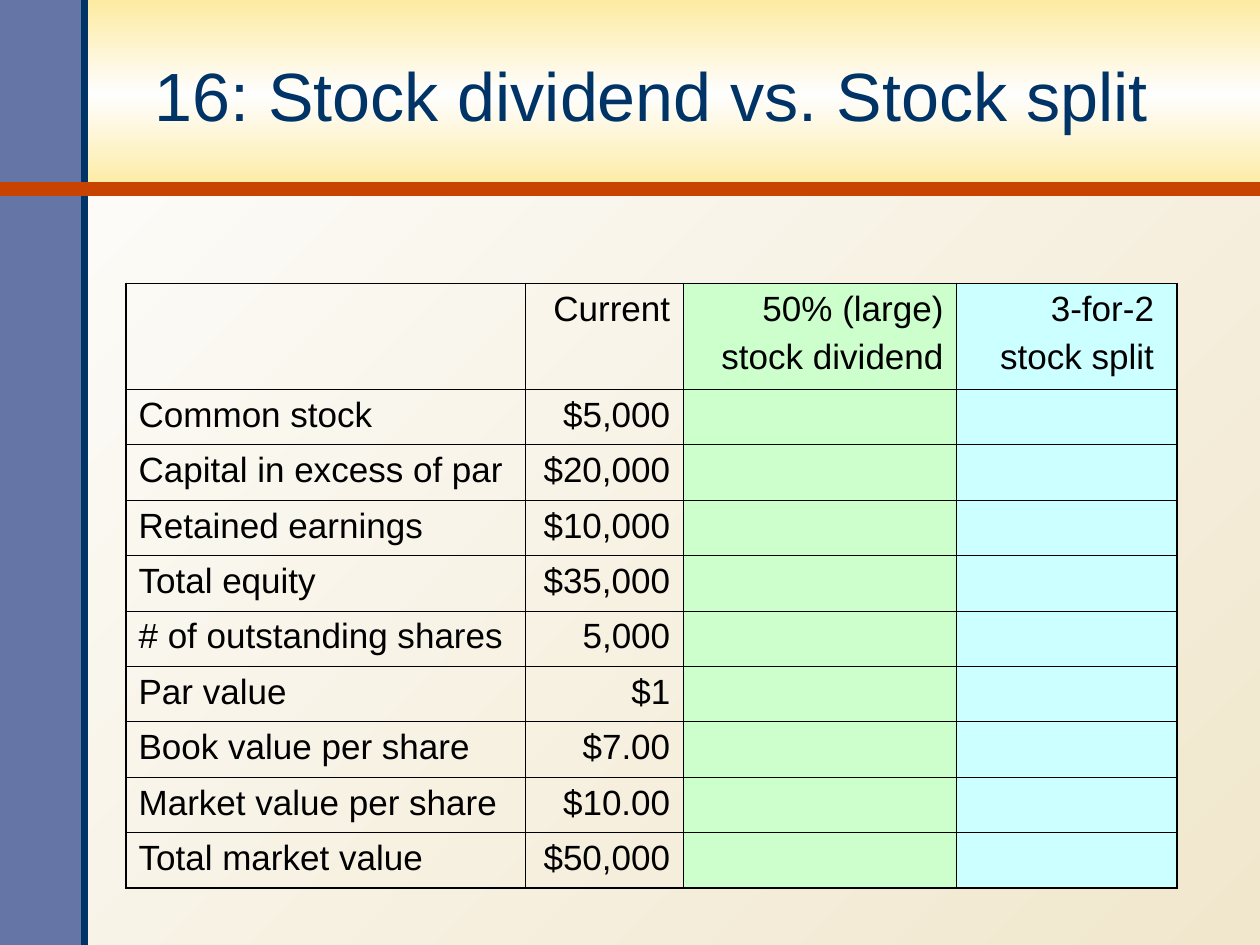
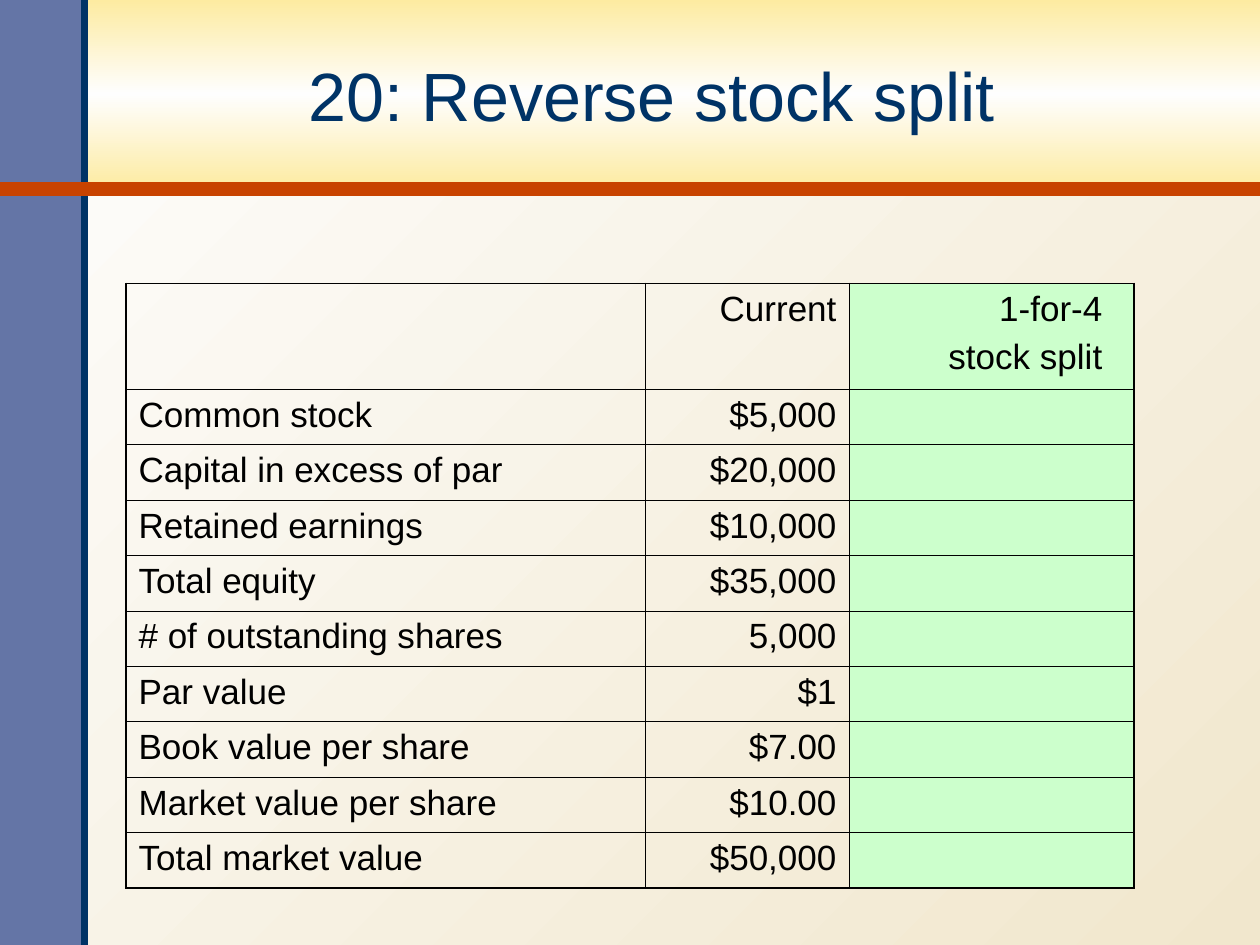
import dataclasses
import typing

import lxml.etree
import pptx
import pptx.dml.color
import pptx.enum.shapes
import pptx.enum.text
import pptx.oxml.ns
import pptx.util

Inches = pptx.util.Inches
Align = pptx.enum.text.PP_ALIGN

# Shared look
FONT = "Arial"
NAVY, RUST, SLATE, BLACK = "003366", "C84300", "6475A6", "000000"
GREEN, AQUA = "CCFFCC", "CCFFFF"
BACKGROUND_STOPS = [(0, "F1E7CD"), (100, "FEFEFE")]
BAND_STOPS = [(0, "FDEBA1"), (50, "FEFEFE"), (100, "FDEBA1")]
WIDTH, HEIGHT = 10, 7.5
SIDE_WIDTH, BAND_HEIGHT = 0.67, 1.5
TABLE_LEFT, TABLE_TOP = 1, 2.25
HEADER_HEIGHT, ROW_HEIGHT = 0.84, 0.44
OUTER_BORDER, INNER_BORDER = 1.08, 0.45
TITLE_FORMAT = {"name": FONT, "size": pptx.util.Pt(39)}
CELL_FORMAT = {"name": FONT, "size": pptx.util.Pt(20)}

# Balance lines and their current values
BALANCES = [
    ("Common stock", "$5,000"),
    ("Capital in excess of par", "$20,000"),
    ("Retained earnings", "$10,000"),
    ("Total equity", "$35,000"),
    ("# of outstanding shares", "5,000"),
    ("Par value", "$1"),
    ("Book value per share", "$7.00"),
    ("Market value per share", "$10.00"),
    ("Total market value", "$50,000"),
]


@dataclasses.dataclass(frozen=True)
class Column:
    width: float
    heading: tuple[str, ...] = ()
    fill: str | None = None
    first_line_indent_right: float = 0
    align: Align = Align.RIGHT


@dataclasses.dataclass(frozen=True)
class Comparison:
    title: str
    columns: tuple[Column, ...]


@dataclasses.dataclass(frozen=True)
class Rule:
    start: tuple[float, float]
    end: tuple[float, float]
    color: str
    weight: float


RULES = [
    Rule((SIDE_WIDTH, HEIGHT), (SIDE_WIDTH, 0), NAVY, 4),
    Rule((0, BAND_HEIGHT), (WIDTH, BAND_HEIGHT), RUST, 8),
]

COMPARISONS = [
    Comparison("16: Stock dividend vs. Stock split", (
        Column(3.17, align=Align.LEFT),
        Column(1.25, ("Current",)),
        Column(2.17, ("50% (large)", "stock dividend"), GREEN),
        Column(1.75, ("3-for-2", "stock split"), AQUA, 0.08),
    )),
    Comparison("20: Reverse stock split", (
        Column(4.12, align=Align.LEFT),
        Column(1.62, ("Current",)),
        Column(2.26, ("1-for-4", "stock split"), GREEN, 0.15),
    )),
]


def rgb(color: str) -> pptx.dml.color.RGBColor:
    return pptx.dml.color.RGBColor.from_string(color)


def set_gradient(fill: typing.Any, element: typing.Any,
                 stops: list[tuple[int, str]], angle: float) -> None:
    """Fill with the stops; the angle runs counter-clockwise."""
    fill.gradient()
    fill.gradient_angle = angle
    stop_list = element.xpath(".//a:gsLst")[0]
    for stop in list(stop_list):
        stop_list.remove(stop)
    for position, color in stops:
        stop = lxml.etree.SubElement(stop_list, pptx.oxml.ns.qn("a:gs"), pos=str(position * 1000))
        lxml.etree.SubElement(stop, pptx.oxml.ns.qn("a:srgbClr"), val=color)


def add_text(paragraph: typing.Any, text: str, values: dict[str, typing.Any],
             color: str, align: Align) -> None:
    paragraph.alignment = align
    run = paragraph.add_run()
    run.text = text
    for name, value in values.items():
        setattr(run.font, name, value)
    run.font.color.rgb = rgb(color)


def add_rectangle(slide: typing.Any, width: float, height: float) -> typing.Any:
    """Place a borderless rectangle in the top left corner."""
    shape = slide.shapes.add_shape(pptx.enum.shapes.MSO_SHAPE.RECTANGLE,
                                   Inches(0), Inches(0), Inches(width), Inches(height))
    shape.shadow.inherit = False
    shape.line.fill.background()
    return shape


def add_rule(slide: typing.Any, rule: Rule) -> None:
    ends = [Inches(length) for length in (*rule.start, *rule.end)]
    connector = slide.shapes.add_connector(pptx.enum.shapes.MSO_CONNECTOR.STRAIGHT, *ends)
    connector.line.color.rgb = rgb(rule.color)
    connector.line.width = pptx.util.Pt(rule.weight)
    lxml.etree.SubElement(connector._element.spPr, pptx.oxml.ns.qn("a:effectLst"))


def add_frame(slide: typing.Any, title: str) -> None:
    """Draw the background, bands, rules and title."""
    set_gradient(slide.background.fill, slide._element, BACKGROUND_STOPS, 135)
    band = add_rectangle(slide, WIDTH, BAND_HEIGHT)
    set_gradient(band.fill, band._element, BAND_STOPS, 270)
    side = add_rectangle(slide, SIDE_WIDTH, HEIGHT)
    side.fill.solid()
    side.fill.fore_color.rgb = rgb(SLATE)
    for rule in RULES:
        add_rule(slide, rule)

    title_box = slide.shapes.add_textbox(Inches(0.65), Inches(0.15), Inches(9.04), Inches(1.2))
    frame = title_box.text_frame
    frame.word_wrap = True
    frame.vertical_anchor = pptx.enum.text.MSO_ANCHOR.MIDDLE
    add_text(frame.paragraphs[0], title, TITLE_FORMAT, NAVY, Align.CENTER)


def set_borders(cell: typing.Any, outer_sides: dict[str, bool]) -> None:
    """Draw the cell's sides, heavier along the table's edge."""
    properties = cell._tc.get_or_add_tcPr()
    for index, (side, is_outer) in enumerate(outer_sides.items()):
        weight = pptx.util.Pt(OUTER_BORDER if is_outer else INNER_BORDER)
        border = lxml.etree.Element(pptx.oxml.ns.qn(f"a:ln{side}"), w=str(weight))
        fill = lxml.etree.SubElement(border, pptx.oxml.ns.qn("a:solidFill"))
        lxml.etree.SubElement(fill, pptx.oxml.ns.qn("a:srgbClr"), val=BLACK)
        properties.insert(index, border)


def fill_cell(cell: typing.Any, lines: tuple[str, ...], column: Column) -> None:
    if column.fill:
        cell.fill.solid()
        cell.fill.fore_color.rgb = rgb(column.fill)
    else:
        cell.fill.background()
    frame = cell.text_frame
    for index, line in enumerate(lines):
        paragraph = frame.add_paragraph() if index else frame.paragraphs[0]
        add_text(paragraph, line, CELL_FORMAT, BLACK, column.align)
        if index:
            paragraph.space_before = pptx.util.Pt(5)


def add_comparison_table(slide: typing.Any, columns: tuple[Column, ...]) -> None:
    heights = [HEADER_HEIGHT] + [ROW_HEIGHT] * len(BALANCES)
    table = slide.shapes.add_table(
        len(heights), len(columns), Inches(TABLE_LEFT), Inches(TABLE_TOP),
        Inches(sum(column.width for column in columns)), Inches(sum(heights))).table
    table.first_row = table.horz_banding = False
    for row, height in zip(table.rows, heights):
        row.height = Inches(height)

    last_row, last_column = len(heights) - 1, len(columns) - 1
    for column_index, column in enumerate(columns):
        table.columns[column_index].width = Inches(column.width)
        # Columns after the current values are left for answers
        values = [balance[column_index:column_index + 1] for balance in BALANCES]
        for row_index, lines in enumerate([column.heading, *values]):
            cell = table.cell(row_index, column_index)
            for side in ("left", "right"):
                setattr(cell, f"margin_{side}", Inches(0.1))
            fill_cell(cell, lines, column)
            set_borders(cell, {"L": column_index == 0, "R": column_index == last_column,
                               "T": row_index == 0, "B": row_index == last_row})
        if column.first_line_indent_right:
            first_line = table.cell(0, column_index).text_frame.paragraphs[0]
            first_line._p.get_or_add_pPr().set("marR", str(Inches(column.first_line_indent_right)))


def main() -> None:
    presentation = pptx.Presentation()
    presentation.slide_width, presentation.slide_height = Inches(WIDTH), Inches(HEIGHT)
    for comparison in COMPARISONS:
        slide = presentation.slides.add_slide(presentation.slide_layouts[6])
        add_frame(slide, comparison.title)
        add_comparison_table(slide, comparison.columns)
    presentation.save("out.pptx")


if __name__ == "__main__":
    main()
